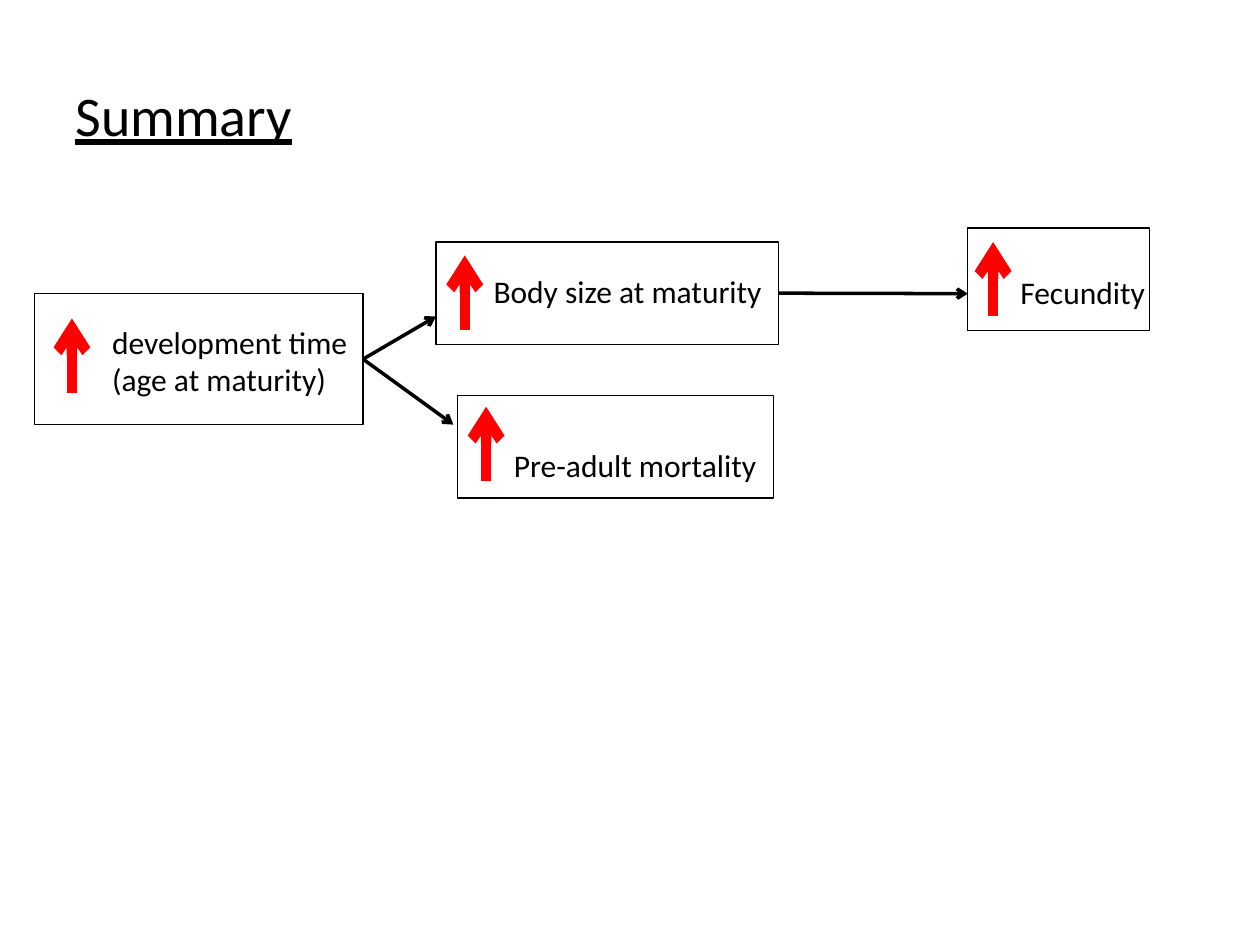
from lxml import etree
from pptx import Presentation
from pptx.dml.color import RGBColor
from pptx.enum import shapes, text
from pptx.oxml import ns
from pptx.util import Cm, Pt

BLACK = RGBColor(0, 0, 0)
RED = RGBColor(255, 0, 0)
RISE = 1.5

deck = Presentation()
deck.slide_width, deck.slide_height = Cm(25.4), Cm(19.05)
slide = deck.slides.add_slide(deck.slide_layouts[6])


def write(lines, left, top, width, height, size):
    frame = slide.shapes.add_textbox(Cm(left), Cm(top), Cm(width), Cm(height)).text_frame
    frame.text = lines
    for paragraph in frame.paragraphs:
        paragraph.font.size = Pt(size)
        paragraph.font.name = "Calibri"
        paragraph.font.color.rgb = BLACK
    return frame


def draw_arrow(x1, y1, x2, y2, color, width):
    arrow = slide.shapes.add_connector(
        shapes.MSO_CONNECTOR.STRAIGHT, Cm(x1), Cm(y1), Cm(x2), Cm(y2))
    arrow.line.color.rgb = color
    arrow.line.width = Pt(width)
    etree.SubElement(arrow.line._get_or_add_ln(), ns.qn("a:tailEnd"), type="arrow")
    etree.SubElement(arrow._element.spPr, ns.qn("a:effectLst"))
    return arrow


summary = write("Summary", 1.27, 1.5, 22.86, 15.52, 32)
summary.word_wrap = True
summary.paragraphs[0].font.underline = True

factors = [
    ("development time\n(age at maturity)", (0.69, 5.92, 6.63, 2.64),
     (2.01, 6.38, 5.31, 1.8), (1.45, 7.92)),
    ("Body size at maturity", (8.79, 4.88, 6.91, 2.06),
     (9.7, 5.36, 5.99, 1.02), (9.37, 6.65)),
    ("Pre-adult mortality", (9.22, 7.98, 6.38, 2.06),
     (10.11, 8.86, 5.46, 1.02), (9.8, 9.7)),
    ("Fecundity", (19.51, 4.6, 3.66, 2.06),
     (20.32, 5.38, 3.05, 1.02), (20.02, 6.38)),
]

frames = []
for label, frame_area, label_area, (x, bottom) in factors:
    frame = slide.shapes.add_shape(
        shapes.MSO_SHAPE.RECTANGLE, *[Cm(length) for length in frame_area])
    frame.shadow.inherit = False
    frame.fill.background()
    frame.line.color.rgb = BLACK
    frame.line.width = Pt(0.75)
    frames.append(frame)

    wording = write(label, *label_area, 18)
    wording.word_wrap = False
    wording.auto_size = text.MSO_AUTO_SIZE.SHAPE_TO_FIT_TEXT

    draw_arrow(x, bottom, x, bottom - RISE, RED, 6)

development, body_size, mortality, fecundity = frames
effects = [
    (development, 7.32, 7.24, 8.79, 6.38),
    (development, 7.32, 7.24, 9.14, 8.56),
    (body_size, 15.7, 5.91, 19.51, 5.92),
]
for cause, x1, y1, x2, y2 in effects:
    draw_arrow(x1, y1, x2, y2, BLACK, 2).begin_connect(cause, 3)

deck.save("out.pptx")
